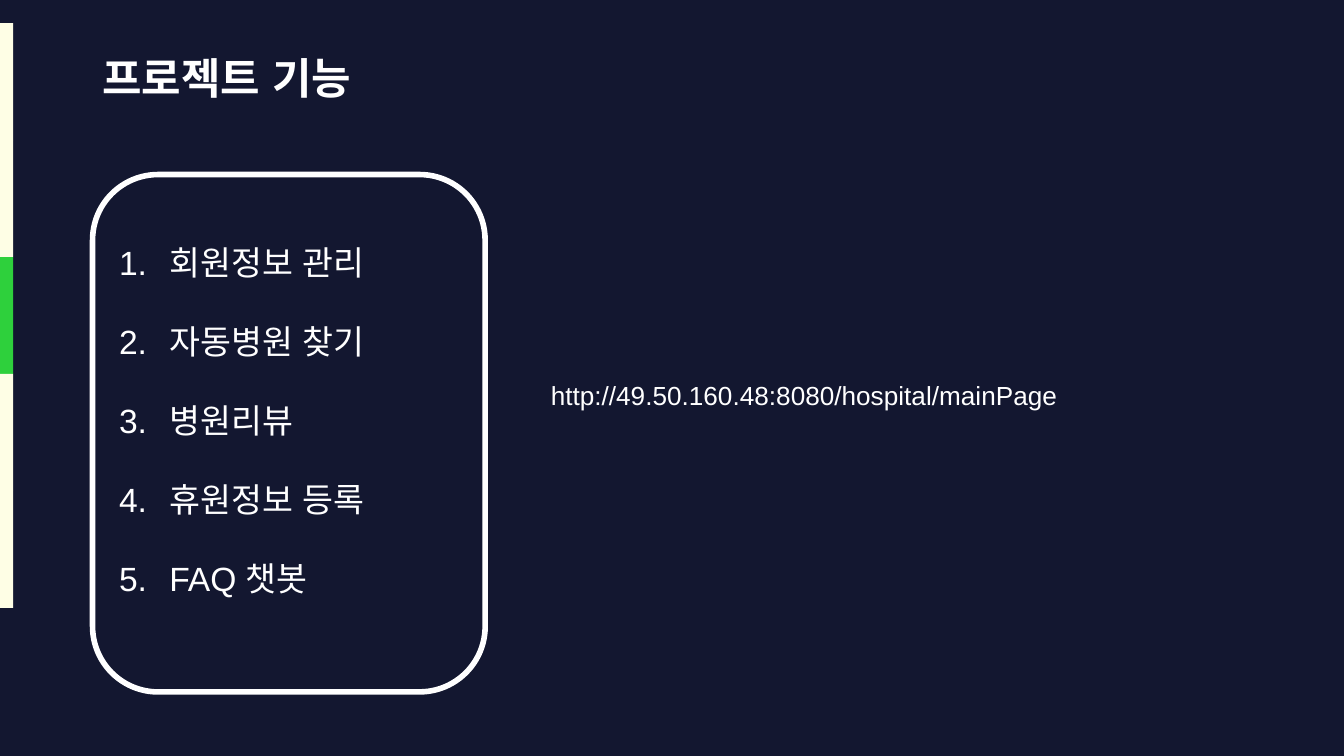
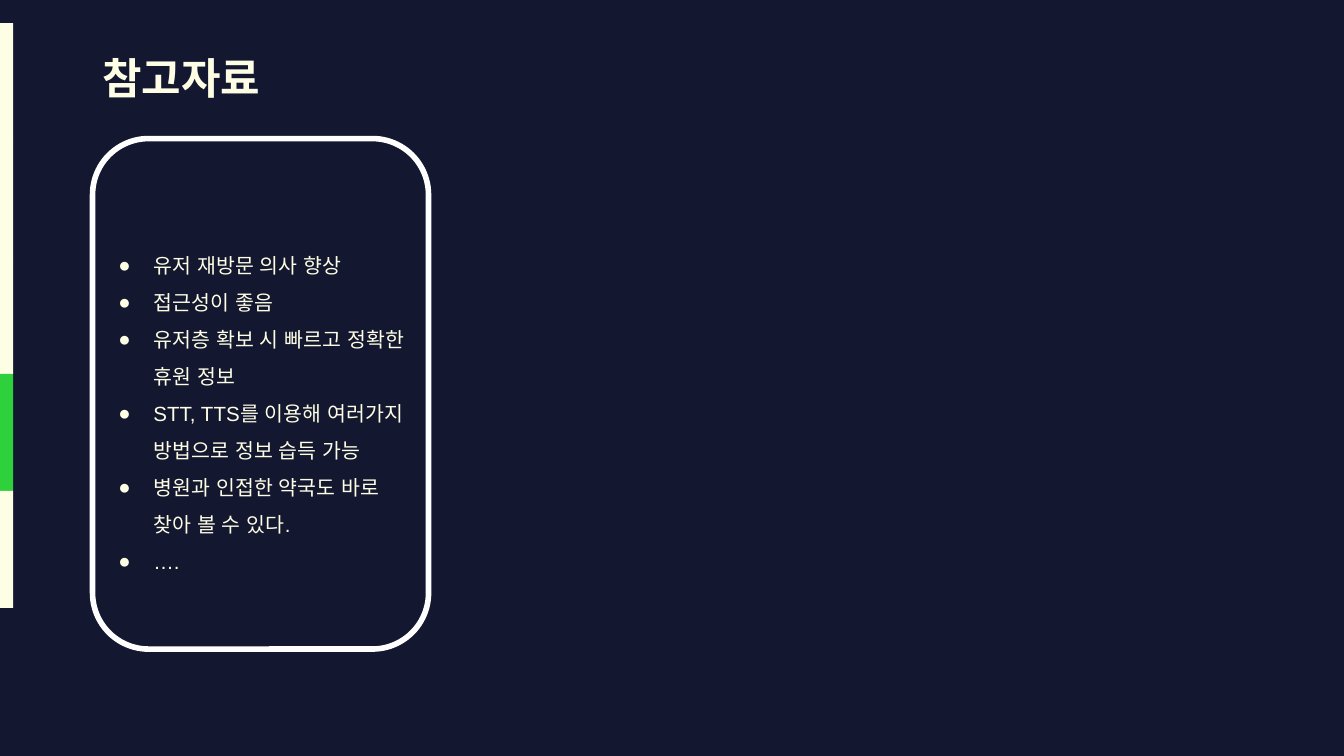
from dataclasses import dataclass
from typing import NamedTuple

from lxml.etree import SubElement
from pptx import Presentation
from pptx.dml.color import RGBColor
from pptx.enum.shapes import MSO_SHAPE
from pptx.enum.text import MSO_ANCHOR
from pptx.oxml.ns import qn
from pptx.util import Cm, Pt


@dataclass(frozen=True)
class Theme:
    font: str = "Arial"
    navy: RGBColor = RGBColor.from_string("131730")
    cream: RGBColor = RGBColor.from_string("FEFEE5")
    green: RGBColor = RGBColor.from_string("2ED03C")
    white: RGBColor = RGBColor.from_string("FFFFFF")
    title: float = 23
    features: float = 18
    address: float = 14
    notes: float = 11
    outline: float = 3


class Box(NamedTuple):
    left: float
    top: float
    width: float
    height: float

    def lengths(self):
        return [Cm(value) for value in self]


class ListStyle(NamedTuple):
    size: float
    color: RGBColor
    bullet: tuple
    indent: float
    hanging: float
    top_inset: float
    paragraph: dict


THEME = Theme()
TITLE_BOX = Box(1.75, 0.64, 21.9, 1.75)
TAB_BOX = Box(0, 0.44, 0.25, 2.21)
TAB_COUNT = 5
PANEL_INSET = 1.09
NUMBERED = ListStyle(
    THEME.features, THEME.white, ("a:buAutoNum", {"type": "arabicPeriod"}),
    1.27, 0.95, 0.18, {"space_before": Pt(20.7)},
)
DOTTED = ListStyle(
    THEME.notes, THEME.cream, ("a:buChar", {"char": "●"}),
    0.97, 0.66, 0.84, {"line_spacing": 1.5},
)


def apply_format(target, values):
    for name, value in values.items():
        setattr(target, name, value)


def add_text_frame(page, box, insets, **values):
    frame = page.shapes.add_textbox(*box.lengths()).text_frame
    sides = ("margin_left", "margin_top", "margin_right", "margin_bottom")
    apply_format(frame, dict(zip(sides, map(Cm, insets))))
    apply_format(frame, {"word_wrap": True, **values})
    return frame


def write_span(para, text, size, color, bold=False):
    span = para.add_run()
    span.text = text
    apply_format(span.font, {"name": THEME.font, "size": Pt(size), "bold": bold})
    span.font.color.rgb = color
    properties = span.font._element
    SubElement(properties, qn("a:ea"), typeface=THEME.font)


def add_bullet(para, style):
    properties = para._p.get_or_add_pPr()
    properties.set("marL", str(Cm(style.indent)))
    properties.set("indent", str(-Cm(style.hanging)))
    color = SubElement(properties, qn("a:buClr"))
    SubElement(color, qn("a:srgbClr"), val=str(style.color))
    SubElement(properties, qn("a:buFont"), typeface=THEME.font)
    tag, attributes = style.bullet
    SubElement(properties, qn(tag), **attributes)


def add_title(page, box, text, color):
    frame = add_text_frame(page, box, (0.18, 0.1, 0.18, 0.1),
                           vertical_anchor=MSO_ANCHOR.MIDDLE)
    para = frame.paragraphs[0]
    para.line_spacing = 0.9
    write_span(para, text, THEME.title, color, bold=True)


def add_tabs(page, box, active):
    for index in range(TAB_COUNT):
        place = box._replace(top=box.top + index * box.height)
        tab = page.shapes.add_shape(MSO_SHAPE.RECTANGLE, *place.lengths())
        tab.shadow.inherit = False
        tab.fill.solid()
        tab.fill.fore_color.rgb = THEME.green if index == active else THEME.cream
        tab.line.fill.background()


def add_list_panel(page, box, items, style):
    outline = page.shapes.add_shape(MSO_SHAPE.ROUNDED_RECTANGLE, *box.lengths())
    outline.adjustments[0] = 0.167
    outline.shadow.inherit = False
    outline.fill.background()
    outline.line.color.rgb = THEME.white
    outline.line.width = Pt(THEME.outline)

    inner = box._replace(top=box.top + PANEL_INSET,
                         height=box.height - 2 * PANEL_INSET)
    frame = add_text_frame(page, inner, (0.18, style.top_inset, 0.18, 0.18))
    for index, item in enumerate(items):
        para = frame.add_paragraph() if index else frame.paragraphs[0]
        apply_format(para, style.paragraph)
        if index == 0:
            para.space_before = Pt(0)
        add_bullet(para, style)
        write_span(para, item, style.size, style.color)


def add_address(page, box, text):
    frame = add_text_frame(page, box, (0.25,) * 4)
    write_span(frame.paragraphs[0], text, THEME.address, THEME.white)


def add_page(deck, title, title_color, active_tab):
    page = deck.slides.add_slide(deck.slide_layouts[6])
    page.background.fill.solid()
    page.background.fill.fore_color.rgb = THEME.navy
    add_title(page, TITLE_BOX, title, title_color)
    add_tabs(page, TAB_BOX, active_tab)
    return page


def build_features(deck):
    page = add_page(deck, "프로젝트 기능", THEME.white, 2)
    items = ["회원정보 관리", "자동병원 찾기", "병원리뷰", "휴원정보 등록", "FAQ 챗봇"]
    add_list_panel(page, Box(1.75, 3.3, 7.42, 9.78), items, NUMBERED)
    add_address(page, Box(10.16, 6.93, 10.9, 1.12),
                "http://49.50.160.48:8080/hospital/mainPage")


def build_references(deck):
    page = add_page(deck, "참고자료", THEME.cream, 3)
    items = [
        "유저 재방문 의사 향상",
        "접근성이 좋음",
        "유저층 확보 시 빠르고 정확한 휴원 정보",
        "STT, TTS를 이용해 여러가지 방법으로 정보 습득 가능",
        "병원과 인접한 약국도 바로 찾아 볼 수 있다.",
        "….",
    ]
    add_list_panel(page, Box(1.75, 2.62, 6.35, 9.65), items, DOTTED)


def main():
    deck = Presentation()
    apply_format(deck, {"slide_width": Cm(25.4), "slide_height": Cm(14.29)})
    build_features(deck)
    build_references(deck)
    deck.save("out.pptx")


if __name__ == "__main__":
    main()
